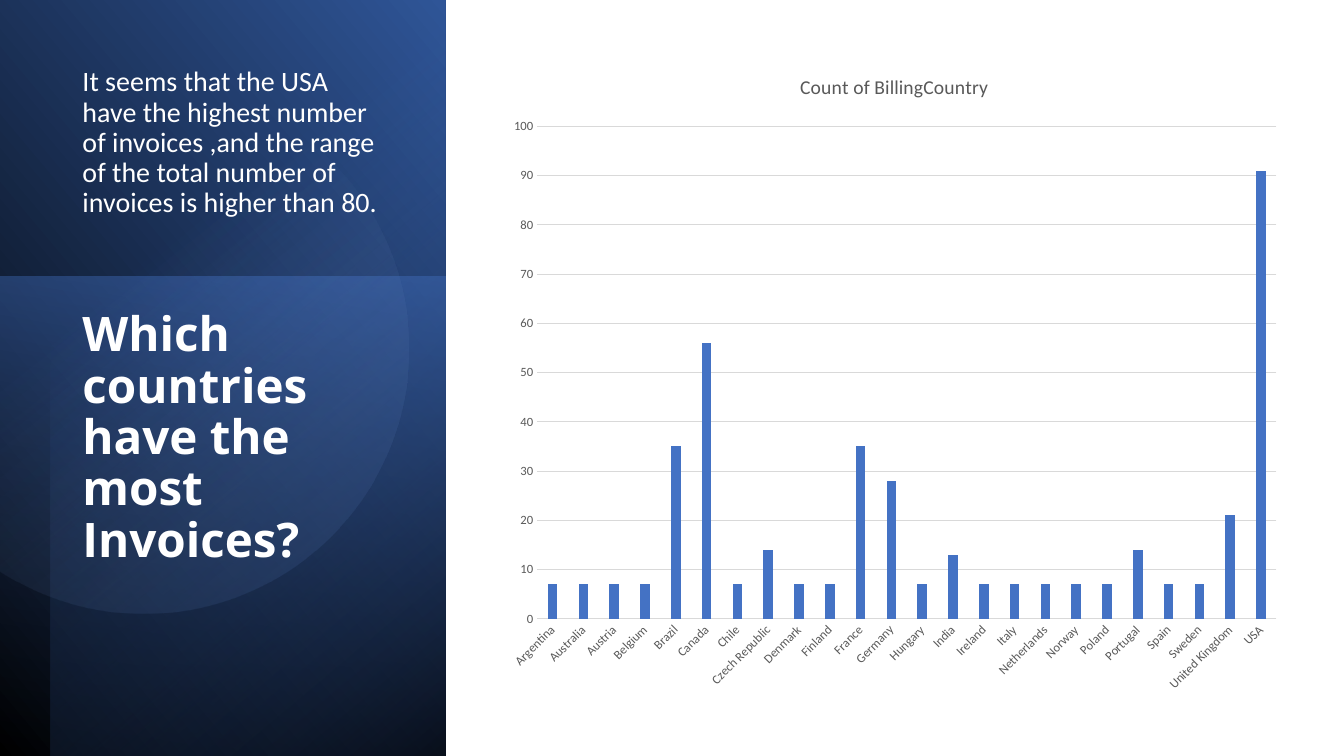
import math

from lxml import etree
from pptx import Presentation
from pptx.chart.data import CategoryChartData
from pptx.dml.color import RGBColor
from pptx.enum.chart import XL_CHART_TYPE, XL_TICK_MARK
from pptx.enum.shapes import MSO_SHAPE
from pptx.enum.text import MSO_ANCHOR
from pptx.oxml.ns import qn
from pptx.util import Cm, Pt

RECTANGLE = MSO_SHAPE.RECTANGLE
COLUMN_CLUSTERED = XL_CHART_TYPE.COLUMN_CLUSTERED
NO_TICK = XL_TICK_MARK.NONE
TOP = MSO_ANCHOR.TOP
BOTTOM = MSO_ANCHOR.BOTTOM

COLORS = {
    "white": "FFFFFF",
    "black": "000000",
    "blue": "4472C4",
    "light_blue": "8FAADC",
    "deep_blue": "2F5597",
    "navy": "203864",
    "label": "595959",
    "grid": "D9D9D9",
}

INVOICES = {
    "Argentina": 7, "Australia": 7, "Austria": 7, "Belgium": 7,
    "Brazil": 35, "Canada": 56, "Chile": 7, "Czech Republic": 14,
    "Denmark": 7, "Finland": 7, "France": 35, "Germany": 28,
    "Hungary": 7, "India": 13, "Ireland": 7, "Italy": 7,
    "Netherlands": 7, "Norway": 7, "Poland": 7, "Portugal": 14,
    "Spain": 7, "Sweden": 7, "United Kingdom": 21, "USA": 91,
}


def color(name):
    return RGBColor.from_string(COLORS[name])


def style_font(font, size, color_name, name="Calibri", bold=False):
    font.name = name
    font.size = Pt(size)
    font.bold = bold
    font.color.rgb = color(color_name)


def style_line(line, color_name):
    line.color.rgb = color(color_name)
    line.width = Pt(0.75)


def fill_gradient(shape, stops, angle):
    shape.shadow.inherit = False
    shape.line.fill.background()
    gradient = etree.Element(qn("a:gradFill"), rotWithShape="1")
    stop_list = etree.SubElement(gradient, qn("a:gsLst"))
    for position, color_name, opacity in stops:
        stop = etree.SubElement(stop_list, qn("a:gs"), pos=str(position * 1000))
        tint = etree.SubElement(stop, qn("a:srgbClr"), val=COLORS[color_name])
        etree.SubElement(tint, qn("a:alpha"), val=str(opacity * 1000))
    etree.SubElement(gradient, qn("a:lin"), ang=str(angle * 60000), scaled="0")
    properties = shape._element.spPr
    geometry = properties.find(qn("a:prstGeom"))
    if geometry is None:
        geometry = properties.find(qn("a:custGeom"))
    geometry.addnext(gradient)


def add_panel(slide, box, rotation, stops, angle, flipped=False):
    shape = slide.shapes.add_shape(RECTANGLE, *map(Cm, box))
    shape.rotation = rotation
    if flipped:
        shape._element.spPr.find(qn("a:xfrm")).set("flipH", "1")
    fill_gradient(shape, stops, angle)


def add_cut_circle(slide, center, radius, arc, rotation, stops, angle):
    start, end = arc
    steps = 120
    points = []
    for step in range(steps + 1):
        turn = math.radians(start + (end - start) * step / steps)
        points.append((Cm(center[0] + radius * math.cos(turn)),
                       Cm(center[1] + radius * math.sin(turn))))
    builder = slide.shapes.build_freeform(*points[0])
    builder.add_line_segments(points[1:], close=True)
    shape = builder.convert_to_shape()
    shape.rotation = rotation
    fill_gradient(shape, stops, angle)


def add_text(slide, box, text, size, anchor, font_name, bold=False):
    frame = slide.shapes.add_textbox(*map(Cm, box)).text_frame
    frame.word_wrap = True
    frame.vertical_anchor = anchor
    paragraph = frame.paragraphs[0]
    paragraph.line_spacing = 0.9
    run = paragraph.add_run()
    run.text = text
    style_font(run.font, size, "white", font_name, bold)


def style_axis(axis):
    axis.major_tick_mark = NO_TICK
    axis.minor_tick_mark = NO_TICK
    style_font(axis.tick_labels.font, 9, "label")


def add_invoice_chart(slide, box):
    data = CategoryChartData()
    data.categories = list(INVOICES)
    data.add_series("Series 1", list(INVOICES.values()))
    chart = slide.shapes.add_chart(COLUMN_CLUSTERED, *map(Cm, box), data).chart
    style_font(chart.font, 10, "black")
    chart.has_legend = False
    chart.has_title = True
    run = chart.chart_title.text_frame.paragraphs[0].add_run()
    run.text = "Count of BillingCountry"
    style_font(run.font, 14, "label")

    plot = chart.plots[0]
    plot.vary_by_categories = False
    plot.gap_width = 219
    plot.overlap = -27
    series_fill = plot.series[0].format.fill
    series_fill.solid()
    series_fill.fore_color.rgb = color("blue")

    countries = chart.category_axis
    style_axis(countries)
    style_line(countries.format.line, "grid")
    label_body = countries._element.find(qn("c:txPr")).find(qn("a:bodyPr"))
    label_body.set("rot", "-2700000")

    counts = chart.value_axis
    style_axis(counts)
    counts.minimum_scale = 0
    counts.maximum_scale = 100
    counts.major_unit = 10
    counts.format.line.fill.background()
    style_line(counts.major_gridlines.format.line, "grid")


def main():
    presentation = Presentation()
    presentation.slide_width = Cm(33.87)
    presentation.slide_height = Cm(19.05)
    slide = presentation.slides.add_slide(presentation.slide_layouts[6])

    add_panel(slide, (-3.94, 3.94, 19.1, 11.23), 90,
              [(0, "black", 100), (100, "deep_blue", 100)], 310, flipped=True)
    add_panel(slide, (-0.43, 7.39, 12.09, 11.23), 270,
              [(0, "blue", 50), (100, "navy", 0)], 190)
    add_panel(slide, (-3.28, 4.55, 19.05, 9.96), 270,
              [(0, "black", 59), (69, "blue", 0)], 220, flipped=True)
    add_cut_circle(slide, (4.6, 9.98), 6.67, (135.4, 381.4), 101.6,
                   [(39, "light_blue", 0), (100, "deep_blue", 26)], 310)

    add_text(slide, (1.83, 7.7, 8, 8.53),
             "Which countries have the most Invoices?",
             34, TOP, "Open Sans", bold=True)
    add_text(slide, (1.83, 1.5, 8.1, 4.14),
             "It seems that the USA have the highest number of invoices ,"
             "and the range of the total number of invoices is higher than 80.",
             20, BOTTOM, "Calibri")
    add_invoice_chart(slide, (12.5, 1.3, 20.07, 16.46))
    presentation.save("out.pptx")


main()
